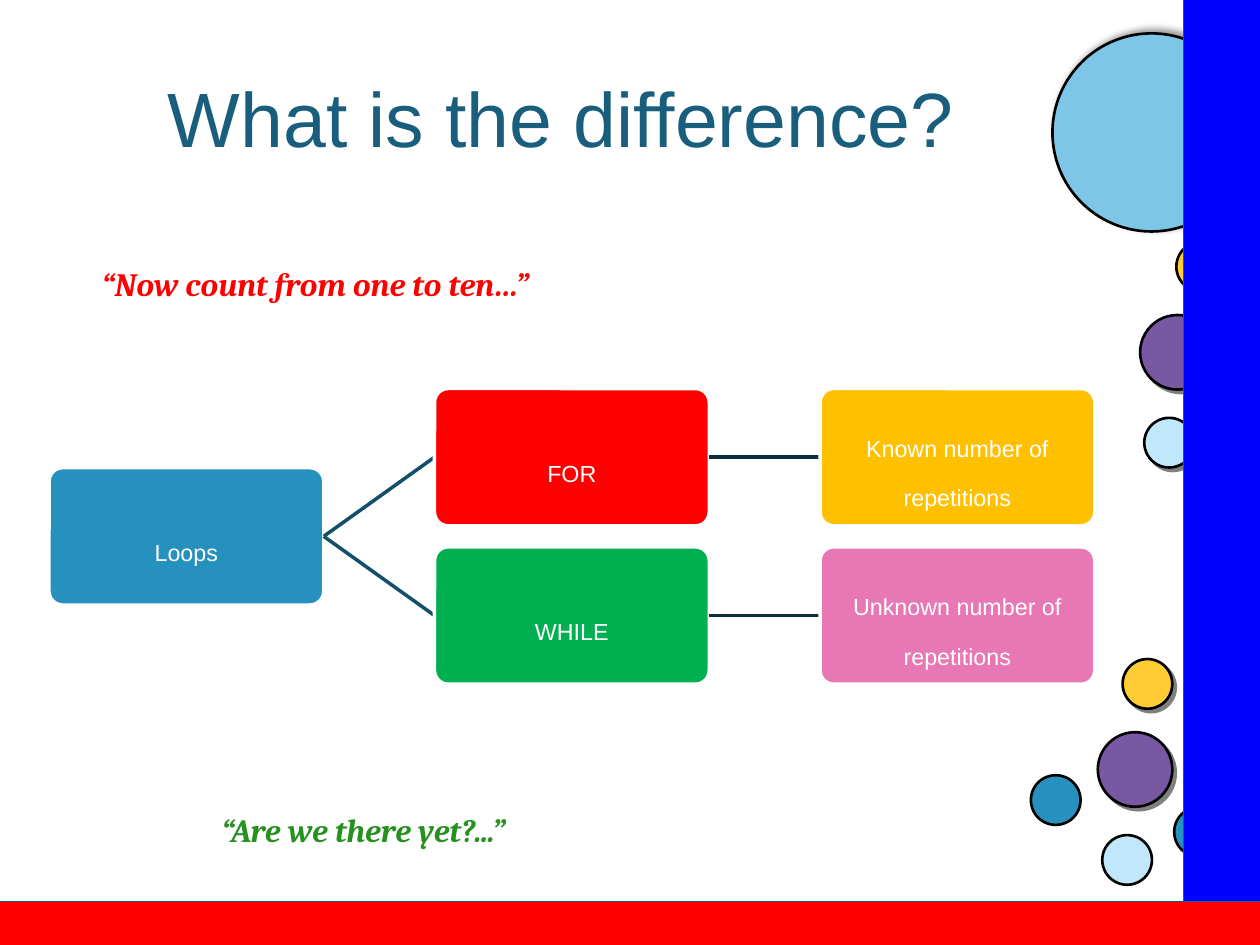
from lxml.etree import SubElement
from pptx import Presentation
from pptx.dml.color import RGBColor as RGB
from pptx.enum.shapes import MSO_CONNECTOR as LINK, MSO_SHAPE as SHAPE
from pptx.enum.text import MSO_ANCHOR as ANCHOR, MSO_AUTO_SIZE as FIT, PP_ALIGN as ALIGN
from pptx.oxml.ns import qn
from pptx.util import Pt

WHITE, BLACK = RGB(255, 255, 255), RGB(0, 0, 0)
RED, GREEN, BLUE = RGB(255, 0, 0), RGB(0, 0xB0, 0x50), RGB(0, 0, 255)
AMBER, PINK = RGB(0xFF, 0xC0, 0), RGB(0xE8, 0x78, 0xB5)
YELLOW, PURPLE = RGB(0xFF, 0xCC, 0x33), RGB(0x79, 0x58, 0xA3)
AZURE, SKY, PALE = RGB(0x26, 0x91, 0xBF), RGB(0x7E, 0xC6, 0xE7), RGB(0xC0, 0xE7, 0xFA)
TEAL, LEAF = RGB(0x19, 0x5E, 0x7D), RGB(0x26, 0x91, 0x1F)
BRANCH, TWIG = RGB(0x14, 0x4F, 0x6A), RGB(0x0D, 0x2F, 0x3E)

TITLE = "What is the difference?"
QUOTES = [
    ("“Now count from one to ten…”", RED, (51, 126, 440, 46)),
    ("“Are we there yet?...”", LEAF, (119.5, 437.8, 304.5, 46)),
]
ROOT = ("Loops", AZURE)
LOOPS = [
    (("FOR", RED), ("Known number of repetitions", AMBER)),
    (("WHILE", GREEN), ("Unknown number of repetitions", PINK)),
]
DROP = dict(color="808080", alpha=100, blur=0, dist=2.8, angle=45)
GLOW = dict(color="000000", alpha=40, blur=4, dist=3, angle=315)
BUBBLES = [
    (641.5, 376.6, 28.4, YELLOW, DROP),
    (627.3, 418.4, 42.6, PURPLE, DROP),
    (589.1, 443, 28.4, AZURE, None),
    (629.9, 477.2, 28.4, PALE, None),
    (671, 461.2, 28.4, AZURE, None),
    (601.4, 19.1, 113.2, SKY, GLOW),
    (672.2, 138.2, 28.4, YELLOW, DROP),
    (651.5, 180, 42.6, PURPLE, DROP),
    (653.9, 238.8, 28.4, PALE, DROP),
]
BARS = [((676.5, -8.6, 61.2, 586.8), BLUE), ((-14.4, 515.2, 797, 44), RED)]

NODE_W, NODE_H = 157, 78.5
LEFT, TOP = 28, 222
COLUMN_STEP, ROW_STEP = 220.3, 90.5

NODE_FONT = dict(name="Arial", size=Pt(23))
QUOTE_FONT = dict(name="Cambria", size=Pt(32), bold=True, italic=True)
TITLE_FONT = dict(name="Arial", size=Pt(44))
NODE_FRAME = dict(word_wrap=True, vertical_anchor=ANCHOR.MIDDLE, margin_left=Pt(3.6),
                  margin_right=Pt(3.6), margin_top=Pt(3.6), margin_bottom=Pt(3.6))

prs = Presentation()
prs.slide_width, prs.slide_height = Pt(720), Pt(540)
slide = prs.slides.add_slide(prs.slide_layouts[5])
shapes = slide.shapes


def apply(target, values):
    for key, value in values.items():
        setattr(target, key, value)


def add_block(kind, box, fill, line, width):
    block = shapes.add_shape(kind, *map(Pt, box))
    block.shadow.inherit = False
    block.fill.solid()
    block.fill.fore_color.rgb = fill
    block.line.color.rgb = line
    block.line.width = Pt(width)
    return block


def cast_shadow(block, color, alpha, blur, dist, angle):
    effects = block.element.spPr.find(qn("a:effectLst"))
    shadow = SubElement(effects, qn("a:outerShdw"), blurRad=str(Pt(blur)), dist=str(Pt(dist)),
                        dir=str(angle * 60000), algn="ctr", rotWithShape="0")
    tint = SubElement(shadow, qn("a:srgbClr"), val=color)
    SubElement(tint, qn("a:alpha"), val=str(alpha * 1000))


def write(frame, words, font, color, subscript=True):
    paragraph = frame.paragraphs[0]
    run = paragraph.add_run()
    run.text = words
    apply(run.font, font)
    run.font.color.rgb = color
    if subscript:
        run._r.get_or_add_rPr().set("baseline", "-25000")
    return paragraph


def add_node(label, fill, column, row):
    box = (LEFT + column * COLUMN_STEP, TOP + row * ROW_STEP, NODE_W, NODE_H)
    node = add_block(SHAPE.ROUNDED_RECTANGLE, box, fill, WHITE, 2)
    node.adjustments[0] = 0.1
    apply(node.text_frame, NODE_FRAME)
    apply(write(node.text_frame, label, NODE_FONT, WHITE),
          dict(alignment=ALIGN.CENTER, line_spacing=0.9))
    return node


def add_child(parent, label, fill, column, row, color):
    link = shapes.add_connector(LINK.STRAIGHT, 0, 0, 0, 0)
    link.line.color.rgb = color
    link.line.width = Pt(2)
    SubElement(link.element.spPr, qn("a:effectLst"))
    child = add_node(label, fill, column, row)
    link.begin_connect(parent, 3)
    link.end_connect(child, 1)
    return child


for left, top, size, fill, shadow in BUBBLES:
    bubble = add_block(SHAPE.OVAL, (left, top, size, size), fill, BLACK, 1.5)
    if shadow:
        cast_shadow(bubble, **shadow)
for box, fill in BARS:
    add_block(SHAPE.RECTANGLE, box, fill, TEAL, 0.75)

title = shapes.title
apply(title, dict(left=Pt(36), top=Pt(21.6), width=Pt(569.5), height=Pt(90)))
title.text_frame.vertical_anchor = ANCHOR.MIDDLE
write(title.text_frame, TITLE, TITLE_FONT, TEAL, False).alignment = ALIGN.CENTER

root = add_node(*ROOT, 0, (len(LOOPS) - 1) / 2)
for row, (loop, meaning) in enumerate(LOOPS):
    branch = add_child(root, *loop, 1, row, BRANCH)
    add_child(branch, *meaning, 2, row, TWIG)

for words, color, box in QUOTES:
    frame = shapes.add_textbox(*map(Pt, box)).text_frame
    apply(frame, dict(word_wrap=False, auto_size=FIT.SHAPE_TO_FIT_TEXT))
    write(frame, words, QUOTE_FONT, color)

prs.save("out.pptx")
